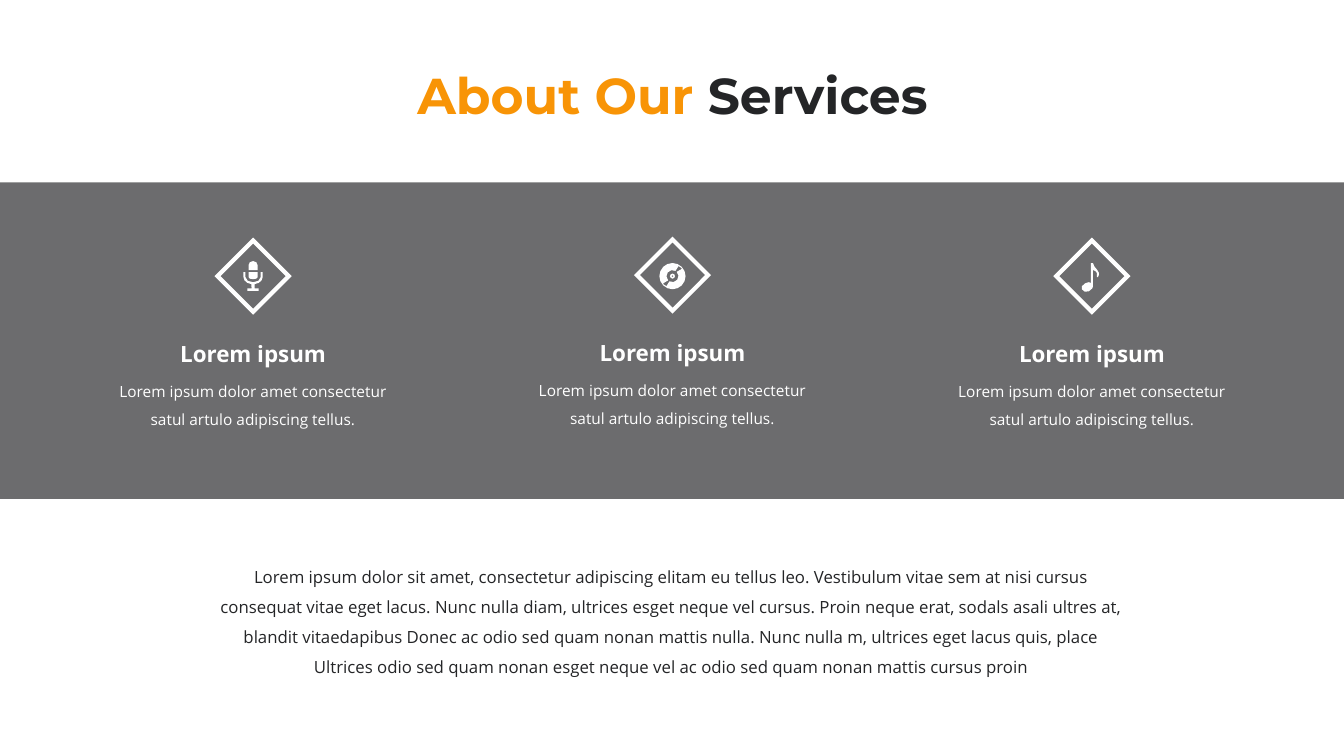
"""Build the "About Our Services" slide."""
from math import cos, radians, sin

from lxml import etree
from pptx import Presentation
from pptx.dml.color import RGBColor
from pptx.enum.shapes import MSO_SHAPE
from pptx.enum.text import MSO_AUTO_SIZE, PP_ALIGN
from pptx.oxml.ns import qn
from pptx.util import Inches, Pt

RECTANGLE = MSO_SHAPE.RECTANGLE
CENTER = PP_ALIGN.CENTER
FIT_SHAPE = MSO_AUTO_SIZE.SHAPE_TO_FIT_TEXT

ORANGE = RGBColor(0xF8, 0x94, 0x06)
DARK = RGBColor(0x24, 0x25, 0x27)
WHITE = RGBColor(0xFF, 0xFF, 0xFF)

TITLE_FONT = "Montserrat"
BODY_FONT = "Open Sans"

FIRST_CENTER = 2.51
COLUMN_PITCH = 4.16
ICON_CENTER_Y = 2.74
DIAMOND_SIDE = 0.5
COLUMN_WIDTH = 2.88

SERVICE_TITLE = "Lorem ipsum"
SERVICE_TEXT = "Lorem ipsum dolor amet consectetur satul artulo adipiscing tellus."
SUMMARY = [
    "Lorem ipsum dolor sit amet, consectetur adipiscing elitam eu tellus leo. "
    "Vestibulum vitae sem at nisi cursus consequat vitae eget lacus. Nunc nulla "
    "diam, ultrices esget neque vel cursus. Proin neque erat, sodals asali ultres "
    "at, blandit vitaedapibus Donec ac odio sed quam nonan mattis nulla. Nunc "
    "nulla m, ultrices eget lacus quis, place",
    "Ultrices odio sed quam nonan esget neque vel ac odio sed quam nonan mattis "
    "cursus proin",
]


def arc(cx, cy, rx, ry, start, end, steps=4):
    """Return points along an elliptical arc, with angles in degrees."""
    angles = [radians(start + (end - start) * i / steps) for i in range(steps + 1)]
    return [(cx + rx * cos(a), cy + ry * sin(a)) for a in angles]


def circle(radius, sides):
    """Return the points of a circle around the icon centre."""
    return arc(0, 0, radius, radius, 0, 360, sides)[:-1]


def microphone():
    """Return the outlines of a microphone in hundredths of an inch."""
    stand = ([(9.5, -4)] + arc(0, 1, 9.5, 7, 0, 80, 3)
             + [(1.5, 12), (5.5, 12), (5.5, 14.5),
                (-5.5, 14.5), (-5.5, 12), (-1.5, 12)]
             + arc(0, 1, 9.5, 7, 100, 180, 3) + [(-9.5, -4), (-7.5, -4)]
             + arc(0, 1, 7.5, 5, 180, 0) + [(7.5, -4)])
    head = arc(0, -11, 4.5, 4, 180, 360) + [(4.5, -6), (-4.5, -6)]
    body = [(-4.5, -4), (4.5, -4)] + arc(0, 1, 4.5, 2, 0, 180)
    return [stand, head, body]


def disc():
    """Return the outlines of a disc in hundredths of an inch."""
    groove = ([(-9, 8), (-6, 10)] + arc(0, 0, 6, 6, 120, -45)
              + [(9, -7), (9, -8), (6, -10)] + arc(0, 0, 6, 6, -60, -225)
              + [(-9, 7)])
    return [circle(13, 16), groove, circle(2.5, 8), circle(1, 4)]


def music_note():
    """Return the outline of a music note in hundredths of an inch."""
    flag = [(-1, -13), (1, -13), (2.5, -9.5), (5, -6.5), (6.8, -3.5),
            (6.8, -1), (6, 1), (5, 1), (5, -3), (3.5, -5), (1, -6)]
    head = [(1, 10), (0.5, 12), (-3, 15), (-7, 15.5), (-10, 13),
            (-10, 10), (-6.5, 7), (-3, 6), (-1, 7)]
    return [flag + head]


def add_band(slide):
    """Add the translucent band across the slide."""
    sp = slide.shapes.add_shape(RECTANGLE, 0, Inches(1.81), Inches(13.33), Inches(3.14))
    sp.shadow.inherit = False
    sp.fill.solid()
    sp.fill.fore_color.rgb = DARK
    sp.line.fill.background()
    color = sp.element.spPr.find(qn("a:solidFill"))[0]
    etree.SubElement(color, qn("a:alpha")).set("val", "67000")


def add_text(shapes, box, paragraphs, size, font, bold=False, spacing=None):
    """Add centred text; each paragraph is a list of (text, colour) runs."""
    tb = shapes.add_textbox(*(Inches(v) for v in box))
    tf = tb.text_frame
    tf.word_wrap = True
    tf.auto_size = FIT_SHAPE
    for i, runs in enumerate(paragraphs):
        p = tf.add_paragraph() if i else tf.paragraphs[0]
        p.alignment = CENTER
        p.line_spacing = spacing
        for text, color in runs:
            r = p.add_run()
            r.text = text
            r.font.size = Pt(size)
            r.font.name = font
            r.font.bold = bold
            r.font.color.rgb = color


def add_diamond(shapes, cx, top):
    """Add the white diamond frame around an icon."""
    sp = shapes.add_shape(RECTANGLE, Inches(cx - DIAMOND_SIDE / 2), Inches(top),
                          Inches(DIAMOND_SIDE), Inches(DIAMOND_SIDE))
    sp.rotation = 45
    sp.shadow.inherit = False
    sp.fill.background()
    sp.line.color.rgb = WHITE
    sp.line.width = Pt(3)
    miter = etree.SubElement(sp.element.spPr.find(qn("a:ln")), qn("a:miter"))
    miter.set("lim", "800000")


def add_icon(shapes, cx, outlines):
    """Add a white icon made of closed outlines."""
    contours = [[(Inches(cx + x / 100), Inches(ICON_CENTER_Y + y / 100))
                 for x, y in outline] for outline in outlines]
    builder = shapes.build_freeform(*contours[0][0])
    for i, contour in enumerate(contours):
        if i:
            builder.move_to(*contour[0])
        builder.add_line_segments(contour[1:], close=True)
    sp = builder.convert_to_shape()
    sp.shadow.inherit = False
    sp.fill.solid()
    sp.fill.fore_color.rgb = WHITE
    sp.line.fill.background()


def add_service(slide, cx, top, outlines):
    """Add one service column with its icon, heading and text."""
    shapes = slide.shapes.add_group_shape().shapes
    left = cx - COLUMN_WIDTH / 2
    add_diamond(shapes, cx, top)
    add_icon(shapes, cx, outlines)
    add_text(shapes, (left, top + 0.7, COLUMN_WIDTH, 0.46), [[(SERVICE_TITLE, WHITE)]],
             16, BODY_FONT, bold=True, spacing=1.5)
    add_text(shapes, (left, top + 1.16, COLUMN_WIDTH, 0.63), [[(SERVICE_TEXT, WHITE)]],
             11, BODY_FONT, spacing=1.5)


def main():
    """Create the slide and save it."""
    prs = Presentation()
    prs.slide_width, prs.slide_height = Inches(13.33), Inches(7.5)
    slide = prs.slides.add_slide(prs.slide_layouts[6])
    add_band(slide)
    add_text(slide.shapes, (3.95, 0.59, 5.44, 0.71),
             [[("About Our ", ORANGE), ("Services", DARK)]], 36, TITLE_FONT, bold=True)
    add_text(slide.shapes, (2, 5.47, 9.32, 1.31),
             [[(text, DARK)] for text in SUMMARY], 12, BODY_FONT, spacing=1.5)
    services = [(2.49, microphone()), (2.48, disc()), (2.49, music_note())]
    for i, (top, outlines) in enumerate(services):
        add_service(slide, FIRST_CENTER + i * COLUMN_PITCH, top, outlines)
    prs.save("out.pptx")


if __name__ == "__main__":
    main()
